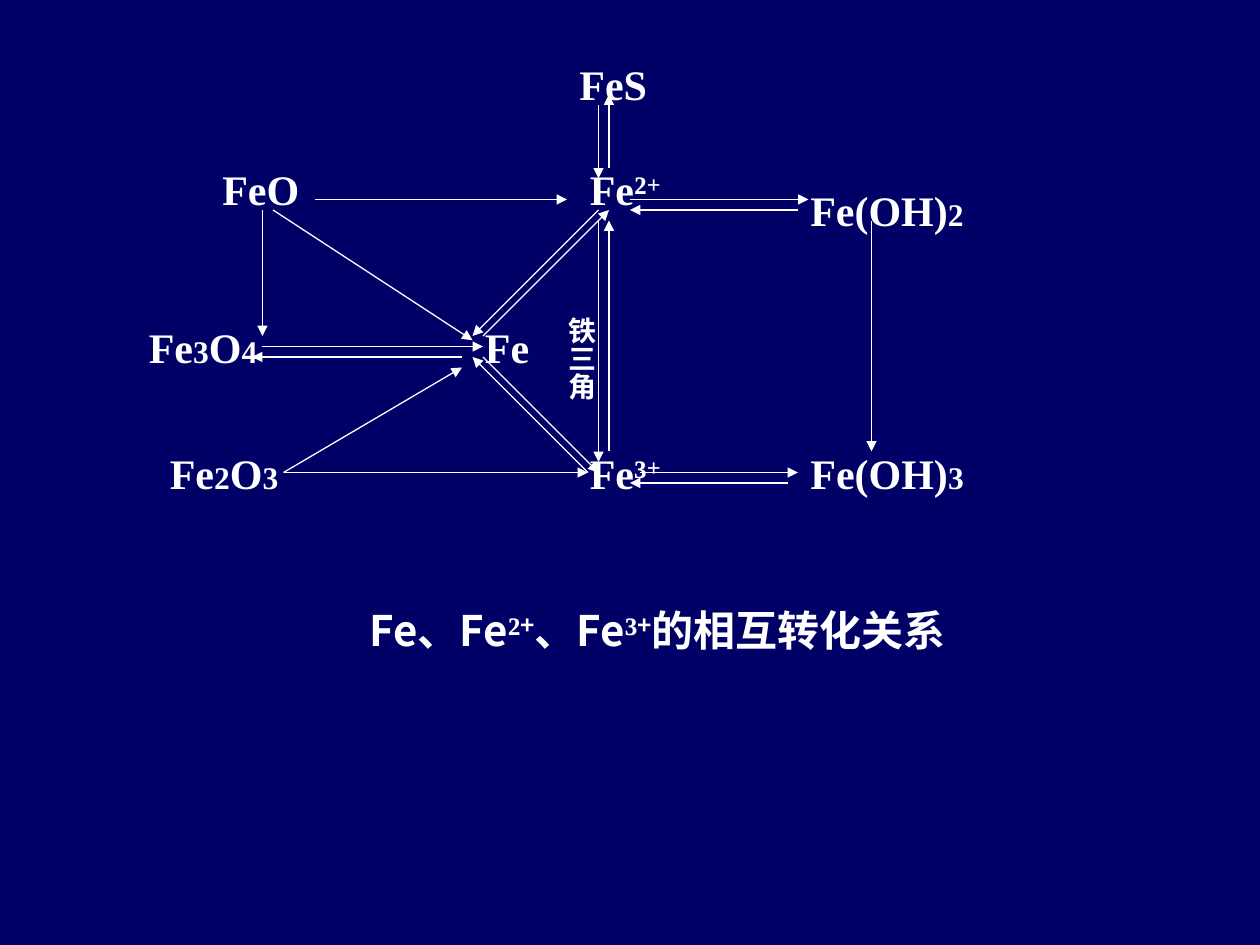
from lxml import etree
from pptx import Presentation
from pptx.dml.color import RGBColor
from pptx.enum.shapes import MSO_CONNECTOR
from pptx.enum.text import MSO_AUTO_SIZE
from pptx.oxml.ns import qn
from pptx.util import Cm, Pt

STRAIGHT = MSO_CONNECTOR.STRAIGHT
GROW = MSO_AUTO_SIZE.SHAPE_TO_FIT_TEXT
COLOURS = {"background": "000066", "ink": "FFFFFF"}
SERIF = "Times New Roman"
HAN = "Noto Sans CJK SC"
VERTICAL_FONT = "Cabin"
GRID_CM = 2.54 / 12
BOX_HEIGHT = 6

# Run styles
PLAIN, SMALL, RAISED, SERIF_RUN = "plain", "small", "raised", "serif"


def grid(steps):
    """Turn steps of a twelfth of an inch into a length."""
    return Cm(steps * GRID_CM)


def colour(name):
    return RGBColor.from_string(COLOURS[name])


def set_typeface(font, name):
    """Use one typeface for both Latin and East Asian text."""
    font.name = name
    properties = font._element if hasattr(font, "_element") else font._rPr
    etree.SubElement(properties, qn("a:ea"), typeface=name)


class Diagram:
    def __init__(self, page):
        self.page = page
        fill = page.background.fill
        fill.solid()
        fill.fore_color.rgb = colour("background")

    def arrow(self, x1, y1, x2, y2):
        line = self.page.shapes.add_connector(
            STRAIGHT, grid(x1), grid(y1), grid(x2), grid(y2))
        line.line.color.rgb = colour("ink")
        line.line.width = Pt(0.75)
        properties = line._element.spPr
        etree.SubElement(properties.find(qn("a:ln")), qn("a:tailEnd"), type="triangle")
        etree.SubElement(properties, qn("a:effectLst"))

    def text(self, left, top, width, height, runs, typeface=SERIF, size=24, before=15):
        box = self.page.shapes.add_textbox(
            grid(left), grid(top), grid(width), grid(height))
        frame = box.text_frame
        frame.word_wrap = True
        frame.auto_size = GROW
        para = frame.paragraphs[0]
        para.space_before = Pt(before)
        para.font.size = Pt(size)
        para.font.bold = True
        para.font.color.rgb = colour("ink")
        set_typeface(para.font, typeface)
        for words, style in runs:
            span = para.add_run()
            span.text = words
            if style == SMALL:
                span.font.size = Pt(18)
            elif style == RAISED:
                span.font._rPr.set("baseline", "30000")
            elif style == SERIF_RUN:
                set_typeface(span.font, SERIF)
        return box

    def vertical_text(self, left, top, width, height, words):
        box = self.text(left, top, width, height, [(words, PLAIN)],
                        VERTICAL_FONT, size=16, before=10)
        frame = box.text_frame
        frame.margin_left = frame.margin_right = Cm(0.13)
        frame.margin_top = frame.margin_bottom = Cm(0.25)
        frame._txBody.bodyPr.set("vert", "eaVert")


# Grid steps: left, top, width, then the runs of the formula
FORMULAS = [
    (54, 5, 14, [("FeS", PLAIN)]),
    (20, 15, 11, [("FeO", PLAIN)]),
    (55, 15, 11, [("Fe²", PLAIN), ("+", RAISED)]),
    (76, 17, 17, [("Fe(OH)", PLAIN), ("2", SMALL)]),
    (13, 30, 13, [("Fe", PLAIN), ("3", SMALL), ("O", PLAIN), ("4", SMALL)]),
    (45, 30, 14, [("Fe", PLAIN)]),
    (15, 42, 13, [("Fe", PLAIN), ("2", SMALL), ("O", PLAIN), ("3", SMALL)]),
    (55, 42, 12, [("Fe³", PLAIN), ("+", RAISED)]),
    (76, 42, 22, [("Fe(OH)", PLAIN), ("3", SMALL)]),
]

# Grid steps: from x, from y, to x, to y
REACTIONS = [
    (57, 10, 57, 17), (58, 16, 58, 9),     # FeS and Fe²⁺
    (60, 19, 77, 19), (76, 20, 60, 20),    # Fe²⁺ and Fe(OH)2
    (61, 45, 76, 45), (75, 46, 60, 46),    # Fe³⁺ and Fe(OH)3
    (25, 33, 46, 33), (44, 34, 24, 34),    # Fe3O4 and Fe
    (46, 32, 58, 20), (57, 20, 45, 32),    # Fe and Fe²⁺
    (46, 34, 57, 45), (56, 45, 45, 34),    # Fe and Fe³⁺
    (57, 21, 57, 44), (58, 43, 58, 21),    # Fe²⁺ and Fe³⁺
    (30, 19, 54, 19), (26, 20, 45, 32.4), (25, 20, 25, 32),  # from FeO
    (27, 45, 56, 45), (27, 45, 44, 35),    # from Fe2O3
    (83, 21, 83, 43),                      # Fe(OH)2 to Fe(OH)3
]

CAPTION = [
    ("Fe、Fe", PLAIN), ("²", SERIF_RUN), ("+", RAISED),
    ("、Fe", PLAIN), ("³", SERIF_RUN), ("+", RAISED),
    ("的相互转化关系", PLAIN),
]


def main():
    deck = Presentation()
    deck.slide_width, deck.slide_height = Cm(25.4), Cm(19.05)
    diagram = Diagram(deck.slides.add_slide(deck.slide_layouts[6]))
    for reaction in REACTIONS:
        diagram.arrow(*reaction)
    for left, top, width, runs in FORMULAS:
        has_small = any(style == SMALL for _, style in runs)
        diagram.text(left, top, width, BOX_HEIGHT, runs,
                     before=11.2 if has_small else 15)
    diagram.text(34, 57, 62, 10.8, CAPTION, HAN)
    diagram.vertical_text(52.1, 29, 5.5, 11, "铁三角")
    deck.save("out.pptx")


if __name__ == "__main__":
    main()
